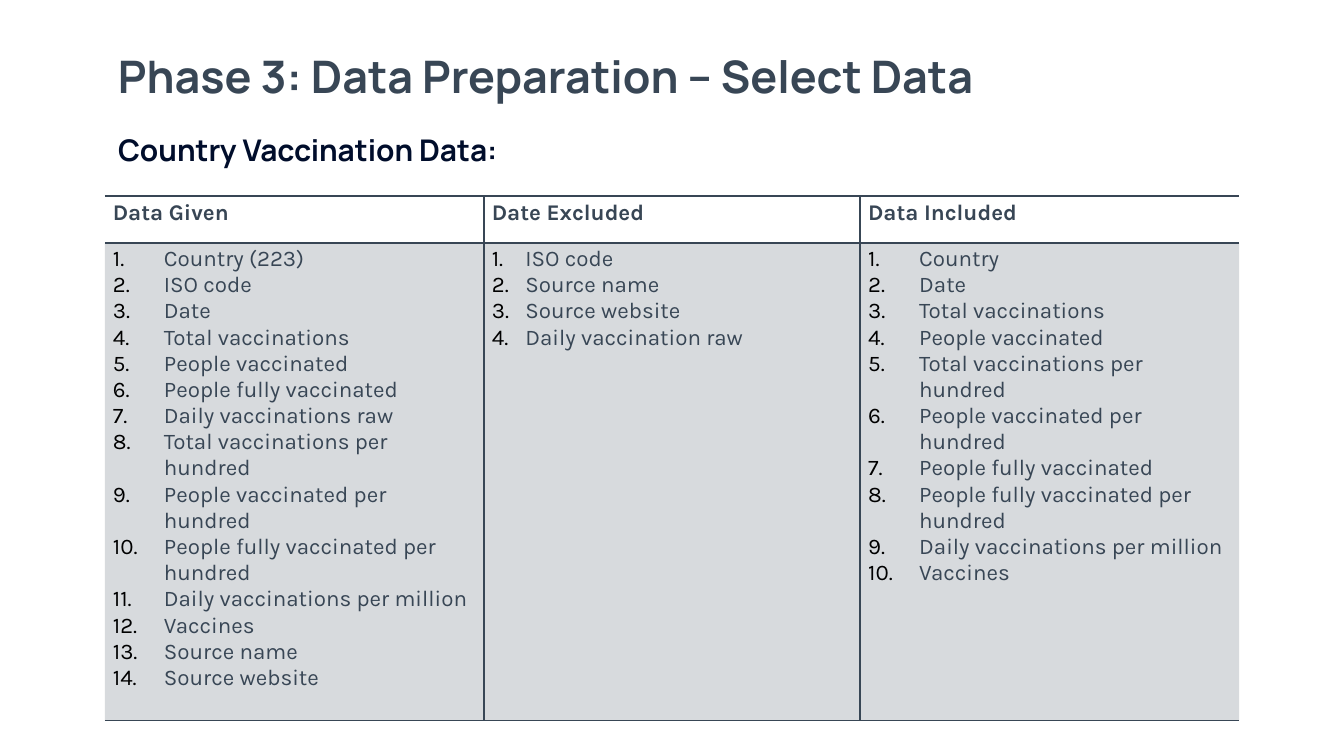
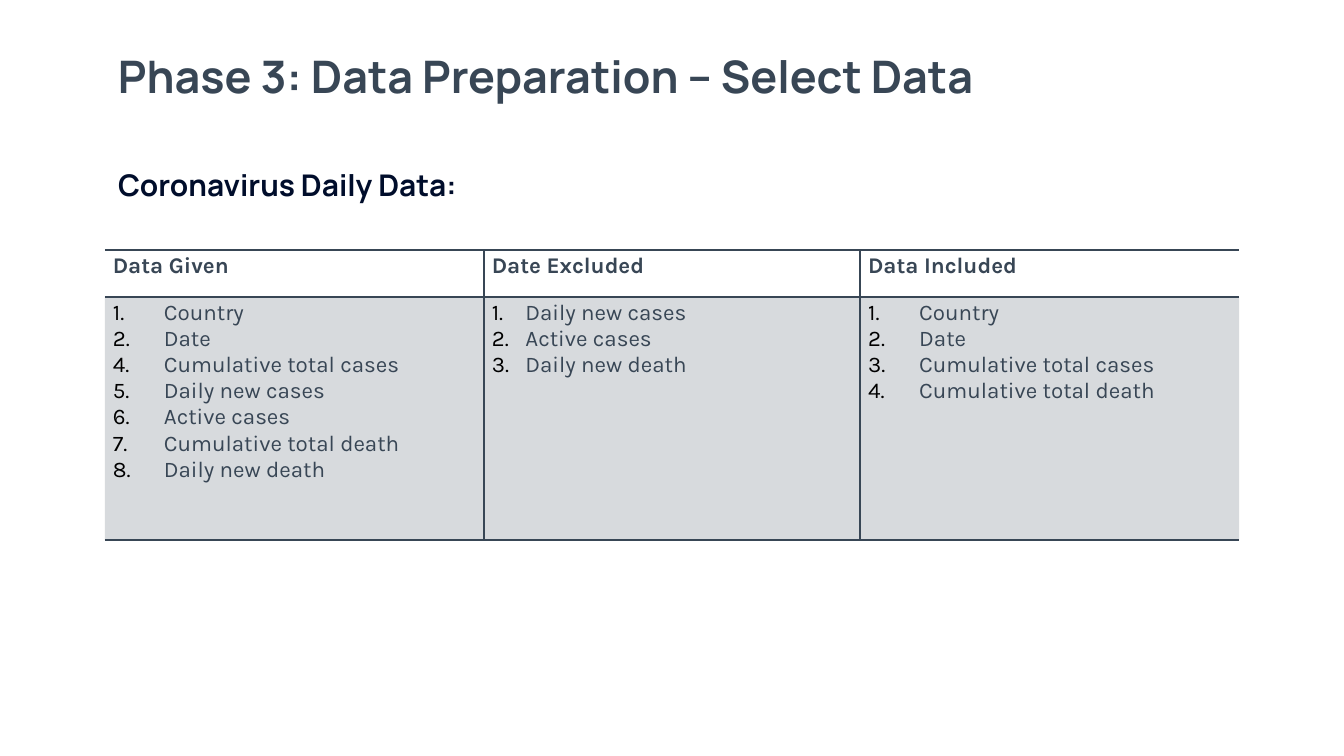
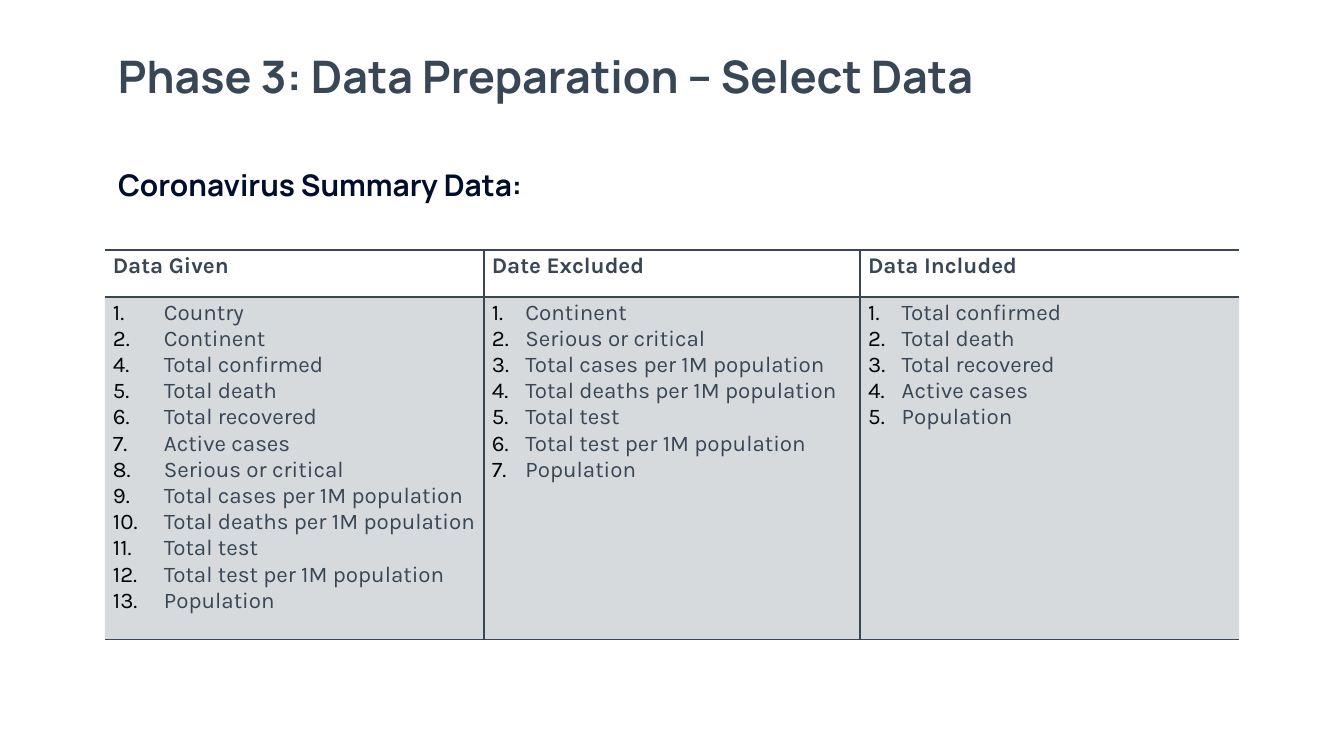
"""Builds three slides that show which data fields are given, excluded and included."""
from dataclasses import dataclass

from lxml import etree
from pptx import Presentation
from pptx import util as u
from pptx.dml import color as c
from pptx.enum import text as t
from pptx.oxml import ns


@dataclass(frozen=True)
class Theme:
    slate: str = "384655"
    navy: str = "000D2B"
    black: str = "000000"
    head: str = "Manrope"
    body: str = "Karla"
    title: int = 24
    sub: int = 16
    cell: int = 12
    tint: int = 20


def node(parent, tag, **attrs):
    return etree.SubElement(parent, ns.qn(tag), {k: str(v) for k, v in attrs.items()})


def put(para, text, font, size, color, bold=False, space=None):
    run = para.add_run()
    run.text = text
    run.font.name, run.font.size, run.font.bold = font, u.Pt(size), bold
    run.font.color.rgb = c.RGBColor.from_string(color)
    if space:
        para.line_spacing = space


class Deck:
    left, width = 0.78, 8.44
    cols = (2.82, 2.8, 2.82)
    heads = ("Data Given", "Date Excluded", "Data Included")

    def __init__(self, theme):
        self.theme = theme
        self.prs = Presentation()
        self.prs.slide_width = u.Inches(10)
        self.prs.slide_height = self.prs.slide_width * 9 // 16
        self.slide = None

    def page(self):
        self.slide = self.prs.slides.add_slide(self.prs.slide_layouts[6])

    def label(self, text, top, width, height, **form):
        box = self.slide.shapes.add_textbox(
            u.Inches(self.left), u.Inches(top), u.Inches(width), u.Inches(height))
        frame = box.text_frame
        frame.word_wrap = True
        put(frame.paragraphs[0], text, font=self.theme.head, bold=True, **form)
        return frame

    def title(self, text):
        frame = self.label(text, 0.27, self.width, 0.63, size=self.theme.title,
                           color=self.theme.slate, space=0.9)
        frame.vertical_anchor = t.MSO_ANCHOR.MIDDLE

    def sub(self, text, top):
        frame = self.label(text, top, 4.49, 0.37, size=self.theme.sub,
                           color=self.theme.navy)
        frame.auto_size = t.MSO_AUTO_SIZE.SHAPE_TO_FIT_TEXT

    def table(self, top, rows, lists, hangs, skip):
        count = len(self.cols)
        grid = self.slide.shapes.add_table(
            2, count, u.Inches(self.left), u.Inches(top),
            u.Inches(self.width), u.Inches(sum(rows))).table
        grid.first_row = grid.horz_banding = False
        for row, high in zip(grid.rows, rows):
            row.height = u.Inches(high)
        for i, wide in enumerate(self.cols):
            grid.columns[i].width = u.Inches(wide)
            head, body = grid.cell(0, i), grid.cell(1, i)
            for cell in (head, body):
                self.frame(cell, i > 0, i < count - 1)
            head.vertical_anchor = t.MSO_ANCHOR.BOTTOM
            head.fill.background()
            put(head.text_frame.paragraphs[0], self.heads[i], font=self.theme.body,
                size=self.theme.cell, color=self.theme.slate, bold=True)
            self.shade(body)
            self.items(body, lists[i], hangs[i], skip if i == 0 else None)

    def frame(self, cell, west, east):
        cell.margin_left = cell.margin_right = u.Inches(0.06)
        cell.margin_top, cell.margin_bottom = u.Inches(0.02), u.Inches(0.13)
        props = cell._tc.get_or_add_tcPr()
        for side, shown in zip("LRTB", (west, east, True, True)):
            line = node(props, f"a:ln{side}", w=u.Pt(1))
            if shown:
                node(node(line, "a:solidFill"), "a:srgbClr", val=self.theme.slate)
            else:
                node(line, "a:noFill")

    def shade(self, cell):
        cell.fill.solid()
        cell.fill.fore_color.rgb = c.RGBColor.from_string(self.theme.slate)
        color = cell._tc.tcPr.find(ns.qn("a:solidFill")).find(ns.qn("a:srgbClr"))
        node(color, "a:alpha", val=self.theme.tint * 1000)

    def items(self, cell, names, hang, skip):
        frame = cell.text_frame
        for i, name in enumerate(names):
            para = frame.add_paragraph() if i else frame.paragraphs[0]
            put(para, name, font=self.theme.body, size=self.theme.cell,
                color=self.theme.slate)
            props = para._p.get_or_add_pPr()
            props.set("marL", str(u.Inches(hang)))
            props.set("indent", str(-u.Inches(hang)))
            node(node(props, "a:buClr"), "a:srgbClr", val=self.theme.black)
            num = node(props, "a:buAutoNum", type="arabicPeriod")
            if skip and i >= skip - 1:
                num.set("startAt", str(skip + 1))


PAGES = [
    dict(
        name="Country Vaccination Data:", sub=0.93, top=1.46, rows=(0.31, 2.69),
        hangs=(0.38, 0.25, 0.38), skip=None,
        lists=(
            ["Country (223)", "ISO code", "Date", "Total vaccinations",
             "People vaccinated", "People fully vaccinated", "Daily vaccinations raw",
             "Total vaccinations per hundred", "People vaccinated per hundred",
             "People fully vaccinated per hundred", "Daily vaccinations per million",
             "Vaccines", "Source name", "Source website"],
            ["ISO code", "Source name", "Source website", "Daily vaccination raw"],
            ["Country", "Date", "Total vaccinations", "People vaccinated",
             "Total vaccinations per hundred", "People vaccinated per hundred",
             "People fully vaccinated", "People fully vaccinated per hundred",
             "Daily vaccinations per million", "Vaccines"])),
    dict(
        name="Coronavirus Daily Data:", sub=1.19, top=1.86, rows=(0.23, 1.81),
        hangs=(0.38, 0.25, 0.38), skip=3,
        lists=(
            ["Country", "Date", "Cumulative total cases", "Daily new cases",
             "Active cases", "Cumulative total death", "Daily new death"],
            ["Daily new cases", "Active cases", "Daily new death"],
            ["Country", "Date", "Cumulative total cases", "Cumulative total death"])),
    dict(
        name="Coronavirus Summary Data:", sub=1.19, top=1.86, rows=(0.23, 1.81),
        hangs=(0.38, 0.25, 0.25), skip=3,
        lists=(
            ["Country", "Continent", "Total confirmed", "Total death",
             "Total recovered", "Active cases", "Serious or critical",
             "Total cases per 1M population", "Total deaths per 1M population",
             "Total test", "Total test per 1M population", "Population"],
            ["Continent", "Serious or critical", "Total cases per 1M population",
             "Total deaths per 1M population", "Total test",
             "Total test per 1M population", "Population"],
            ["Total confirmed", "Total death", "Total recovered", "Active cases",
             "Population"])),
]


def main():
    deck = Deck(Theme())
    for page in PAGES:
        deck.page()
        deck.title("Phase 3: Data Preparation – Select Data")
        deck.table(page["top"], page["rows"], page["lists"], page["hangs"], page["skip"])
        deck.sub(page["name"], page["sub"])
    deck.prs.save("out.pptx")


if __name__ == "__main__":
    main()
